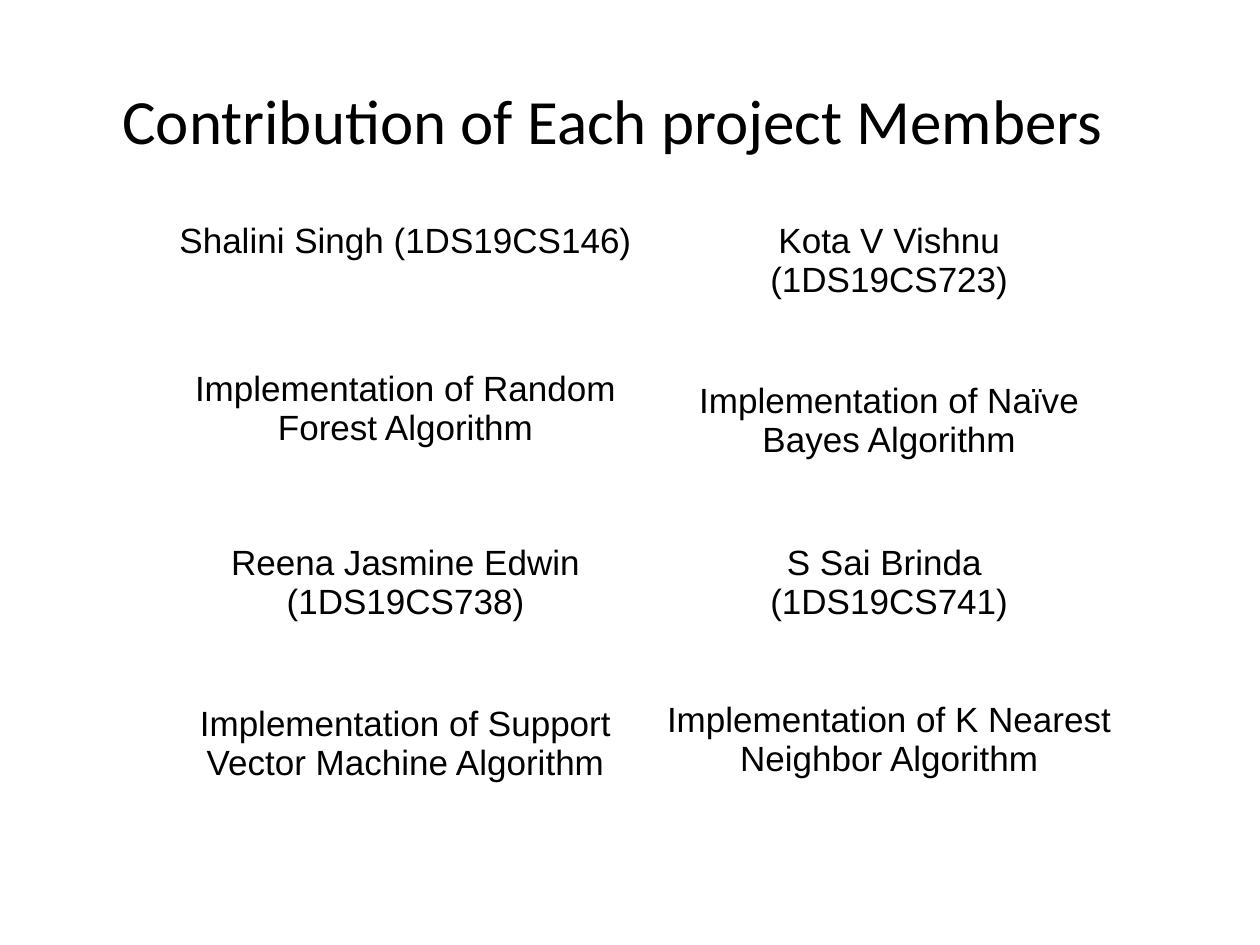
"""Build a slide listing what each project member contributed."""
from dataclasses import dataclass

from pptx import Presentation
from pptx.dml.color import RGBColor
from pptx.enum import text
from pptx.table import _Cell
from pptx.text.text import _Paragraph
from pptx.util import Cm, Pt


@dataclass(frozen=True)
class Theme:
    ink: RGBColor = RGBColor(0, 0, 0)
    title_font: str = "Calibri"
    body_font: str = "Arial"
    title_size: float = 36
    body_size: float = 20


@dataclass(frozen=True)
class Contribution:
    member: str
    task: str
    gap: float


THEME = Theme()
CONTRIBUTIONS = [
    [
        Contribution("Shalini Singh (1DS19CS146)",
                     "Implementation of Random Forest Algorithm", 62.5),
        Contribution("Kota V Vishnu (1DS19CS723)",
                     "Implementation of Naïve Bayes Algorithm", 47),
    ],
    [
        Contribution("Reena Jasmine Edwin (1DS19CS738)",
                     "Implementation of Support Vector Machine Algorithm", 47),
        Contribution("S Sai Brinda \v(1DS19CS741)",
                     "Implementation of K Nearest Neighbor Algorithm", 44.7),
    ],
]


def write(paragraph: _Paragraph, words: str, *, font: str = THEME.body_font,
          size: float = THEME.body_size,
          align: text.PP_ALIGN = text.PP_ALIGN.CENTER,
          before: float = 0, spacing: float = 1.0) -> None:
    paragraph.text = words
    paragraph.alignment = align
    paragraph.space_before = Pt(before)
    paragraph.line_spacing = spacing
    for run in paragraph.runs:
        run.font.name = font
        run.font.size = Pt(size)
        run.font.bold = False
        run.font.color.rgb = THEME.ink


def draw_contribution(cell: _Cell, contribution: Contribution) -> None:
    cell.fill.background()
    write(cell.text_frame.paragraphs[0], contribution.member)
    write(cell.text_frame.add_paragraph(), contribution.task,
          before=contribution.gap)


def main() -> None:
    deck = Presentation()
    deck.slide_width, deck.slide_height = Cm(25.4), Cm(19.05)
    slide = deck.slides.add_slide(deck.slide_layouts[5])

    heading = slide.shapes.title
    heading.left, heading.top = Cm(2.21), Cm(0.66)
    heading.width, heading.height = Cm(22.81), Cm(3.68)
    heading.text_frame.vertical_anchor = text.MSO_ANCHOR.MIDDLE
    write(heading.text_frame.paragraphs[0], "Contribution of Each project Members",
          font=THEME.title_font, size=THEME.title_size,
          align=text.PP_ALIGN.LEFT, spacing=0.9)

    members = slide.shapes.add_table(
        len(CONTRIBUTIONS), len(CONTRIBUTIONS[0]),
        Cm(3.3), Cm(4.34), Cm(19.5), Cm(13)).table
    members.first_row = members.horz_banding = False
    for row, contributions in enumerate(CONTRIBUTIONS):
        for column, contribution in enumerate(contributions):
            draw_contribution(members.cell(row, column), contribution)

    deck.save("out.pptx")


if __name__ == "__main__":
    main()
